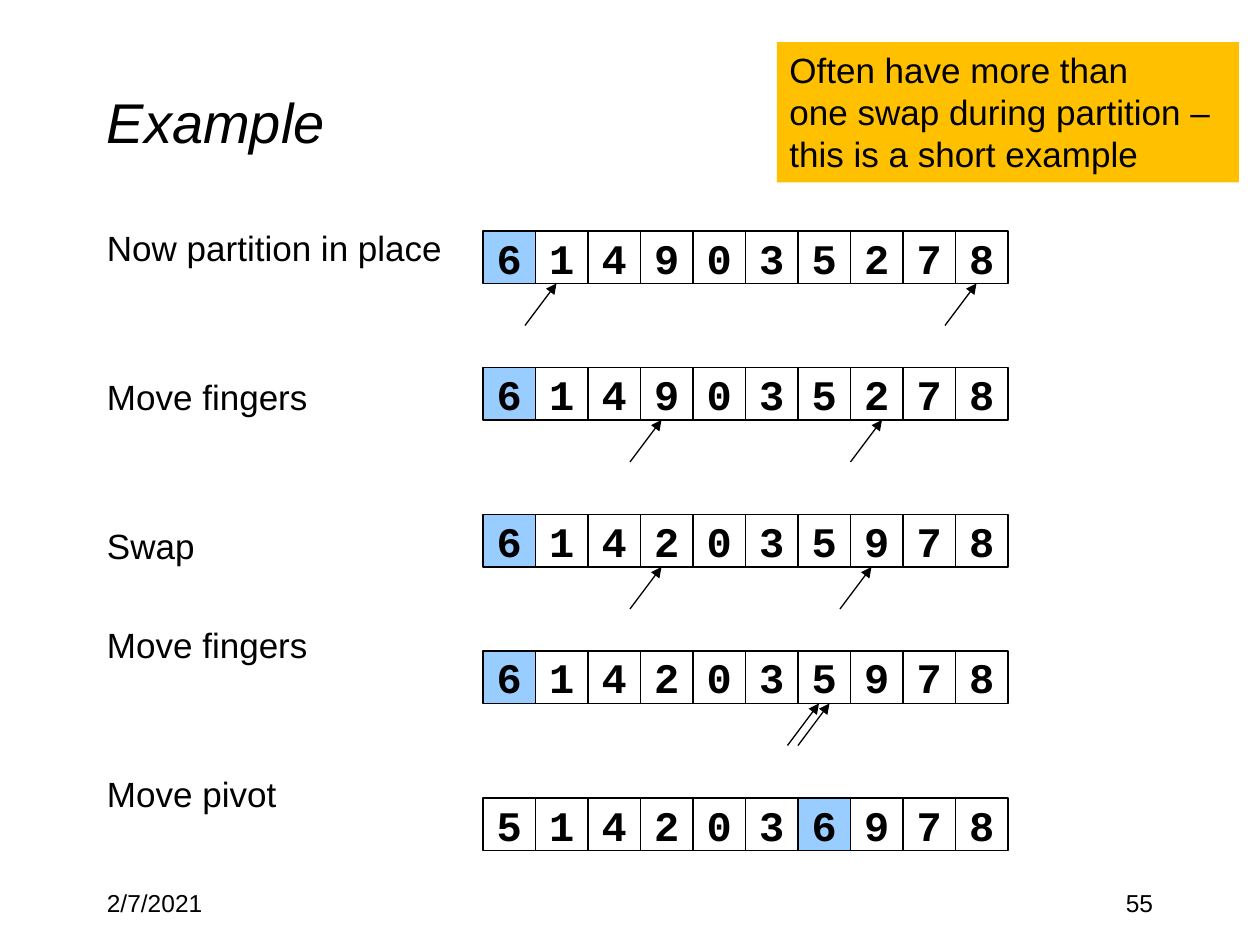
from lxml.etree import SubElement
from pptx import Presentation
from pptx.dml.color import RGBColor
from pptx.enum.shapes import MSO_CONNECTOR as Connector, MSO_SHAPE as Preset
from pptx.enum.text import MSO_ANCHOR as Anchor, PP_ALIGN as Align
from pptx.oxml.ns import qn
from pptx.util import Emu, Pt

EMU_PER_PX = 9525
COLORS = {"ink": "000000", "pivot": "99CCFF", "callout": "FFC000"}
CELL = 40
ROW_LEFT = 368
FINGER_RUN, FINGER_RISE = 24, 32
LINE_PITCH, LINE_HEIGHT = 28, 23

ROWS = [
    (176, "6149035278", 0, (424, 744)),
    (280, "6149035278", 0, (504, 672)),
    (392, "6142035978", 0, (504, 664)),
    (496, "6142035978", 0, (632, 624)),
    (608, "5142036978", 6, ()),
]
STEPS = [
    ("Now partition in place", 0),
    ("Move fingers", 3),
    ("Swap", 3),
    ("Move fingers", 2),
    ("Move pivot", 3),
]


def px(*lengths):
    return [Emu(length * EMU_PER_PX) for length in lengths]


def color(name):
    return RGBColor.from_string(COLORS[name])


def write(shape, text, size=20, font="Arial", bold=False, italic=False,
          align=Align.LEFT, anchor=Anchor.TOP, wrap=True, gaps=()):
    frame = shape.text_frame
    frame.word_wrap = wrap
    frame.vertical_anchor = anchor
    frame.text = text
    for paragraph in frame.paragraphs:
        paragraph.alignment = align
        for run in paragraph.runs:
            run.font.name = font
            run.font.size = Pt(size)
            run.font.bold = bold
            run.font.italic = italic
            run.font.color.rgb = color("ink")
    for paragraph, gap in zip(frame.paragraphs, gaps):
        paragraph.space_before = Pt(gap)


class PartitionSlide:
    line_width = Pt(0.75)

    def __init__(self, deck):
        self.slide = deck.slides.add_slide(deck.slide_layouts[6])

    def label(self, box, text, **style):
        write(self.slide.shapes.add_textbox(*px(*box)), text, **style)

    def rect(self, shapes, box, fill=None, outlined=True):
        rect = shapes.add_shape(Preset.RECTANGLE, *px(*box))
        rect.shadow.inherit = False
        if fill:
            rect.fill.solid()
            rect.fill.fore_color.rgb = color(fill)
        else:
            rect.fill.background()
        if outlined:
            rect.line.color.rgb = color("ink")
            rect.line.width = self.line_width
        else:
            rect.line.fill.background()
        return rect

    def callout(self, box, text):
        write(self.rect(self.slide.shapes, box, "callout", outlined=False), text)

    def finger(self, shapes, x, y):
        finger = shapes.add_connector(
            Connector.STRAIGHT, *px(x - FINGER_RUN, y + FINGER_RISE, x, y))
        finger.line.color.rgb = color("ink")
        finger.line.width = self.line_width
        SubElement(finger.line._get_or_add_ln(), qn("a:tailEnd"), type="triangle")
        SubElement(finger._element.spPr, qn("a:effectLst"))

    def array(self, top, digits, pivot, fingers):
        shapes = self.slide.shapes.add_group_shape().shapes
        for index, digit in enumerate(digits):
            cell = self.rect(shapes, (ROW_LEFT + index * CELL, top, CELL, CELL),
                             "pivot" if index == pivot else None)
            write(cell, digit, size=24, font="Courier New", bold=True,
                  align=Align.CENTER, anchor=Anchor.MIDDLE, wrap=False)
        for x in fingers:
            self.finger(shapes, x, top + CELL)


def main():
    deck = Presentation()
    deck.slide_width, deck.slide_height = px(960, 720)
    page = PartitionSlide(deck)
    page.label((72, 32, 816, 120), "Example", size=32, italic=True,
               anchor=Anchor.MIDDLE)
    page.label((72, 168, 312, 472), "\n".join(step for step, _ in STEPS),
               gaps=[max(0, lines * LINE_PITCH - LINE_HEIGHT) for _, lines in STEPS])
    page.label((72, 672, 200, 48), "2/7/2021", size=14)
    page.label((688, 672, 200, 48), "55", size=14, align=Align.RIGHT)
    for row in ROWS:
        page.array(*row)
    page.callout((592, 32, 352, 107), "Often have more than\n"
                 "one swap during partition –\nthis is a short example")
    deck.save("out.pptx")


if __name__ == "__main__":
    main()
